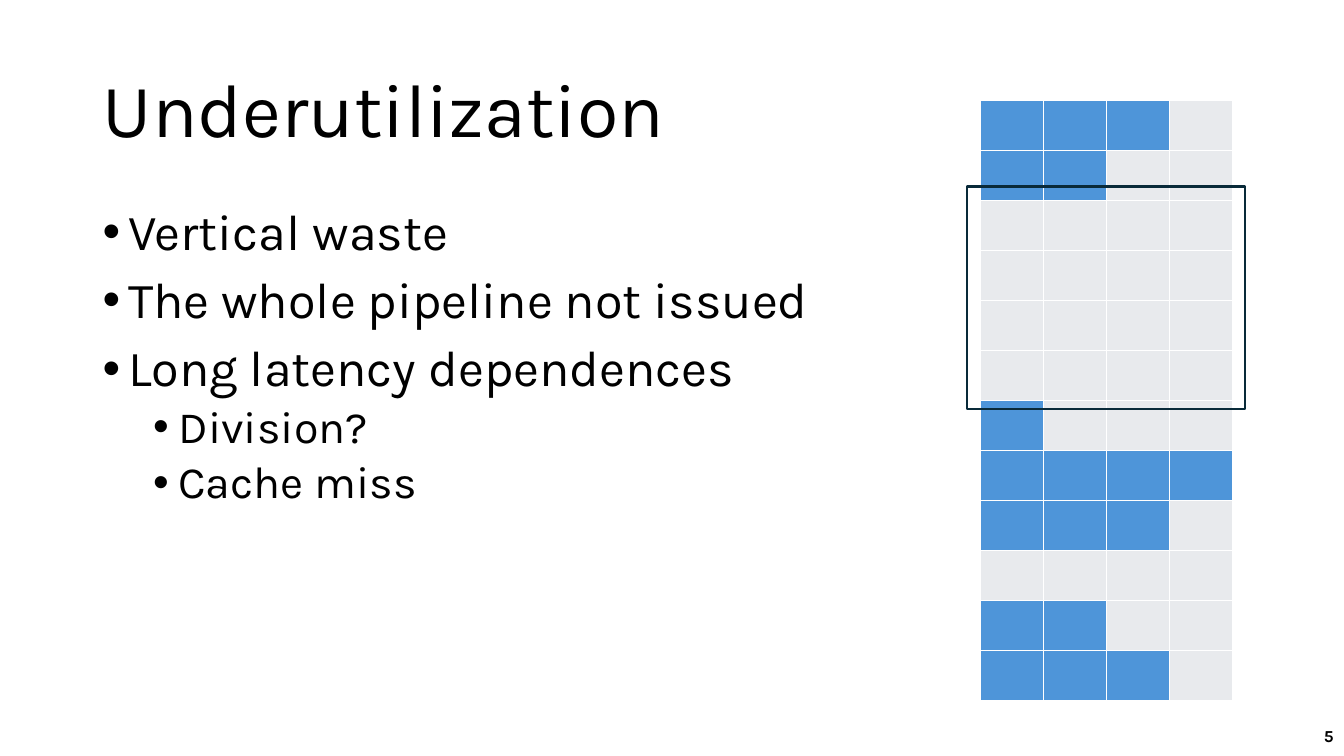
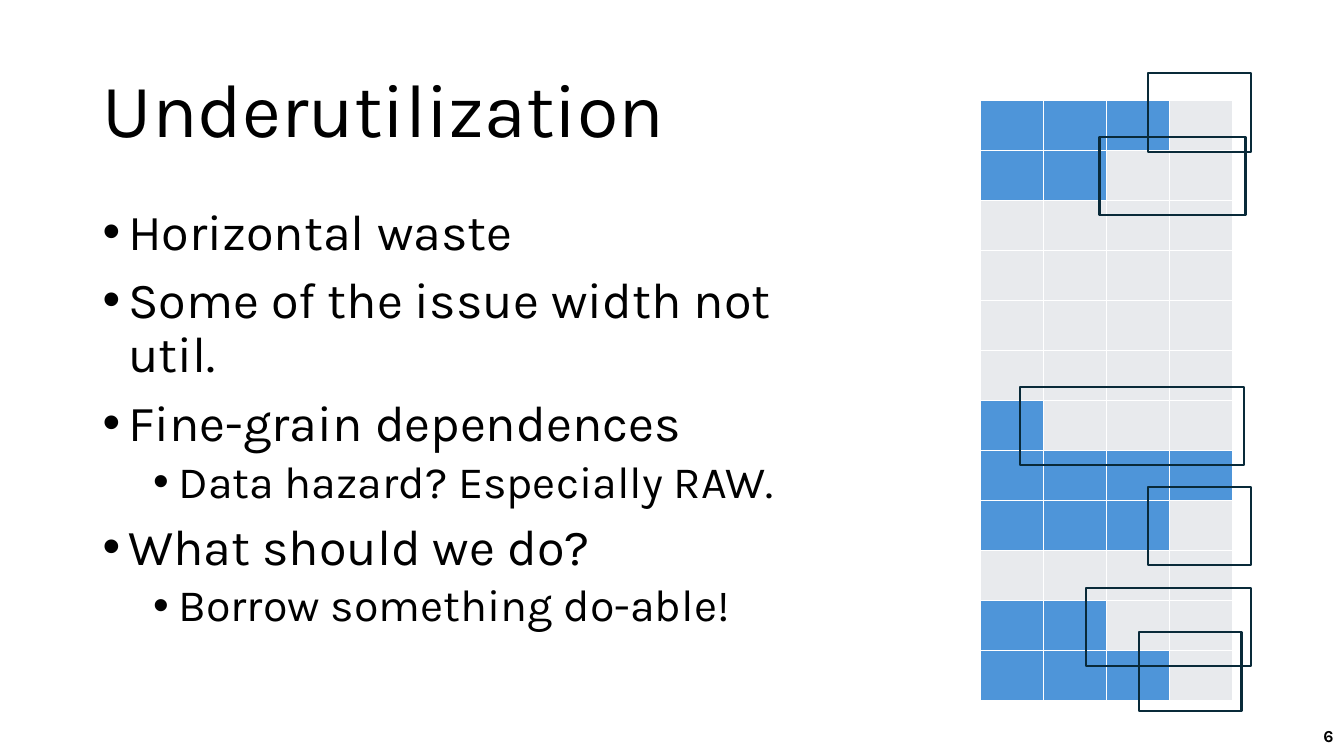
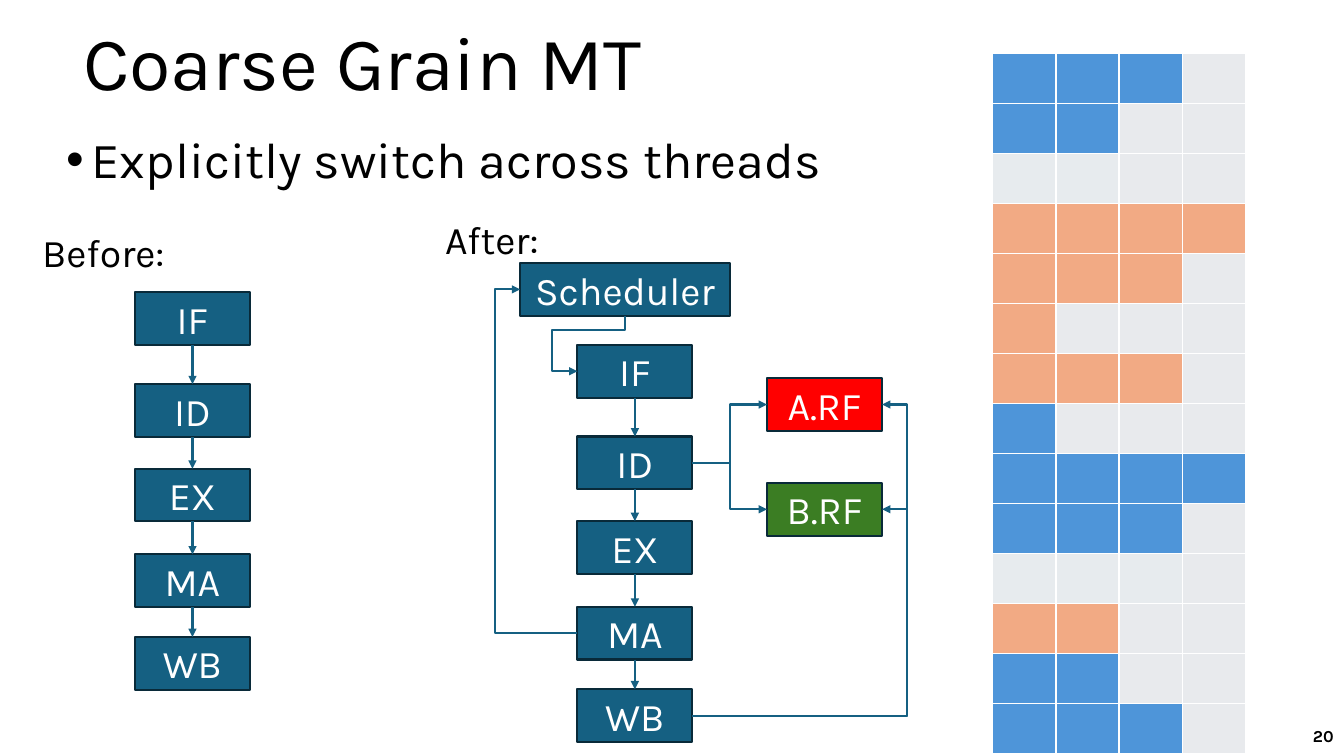
from dataclasses import dataclass
from itertools import pairwise

import pptx
import pptx.dml.color
import pptx.enum.shapes
import pptx.enum.text
import pptx.oxml
import pptx.oxml.ns
import pptx.util
from pptx.util import Cm

ALIGN = pptx.enum.text.PP_ALIGN
ANCHOR = pptx.enum.text.MSO_ANCHOR
CONNECTOR = pptx.enum.shapes.MSO_CONNECTOR
RECTANGLE = pptx.enum.shapes.MSO_SHAPE.RECTANGLE

# Shared style
FONT = "Karla"
COLORS = {
    "text": "000000",
    "white": "FFFFFF",
    "outline": "092A39",
    "stage": "156082",
    "thread_a": "FF0000",
    "thread_b": "3B7D23",
}
SLOT_COLORS = {"A": "4E95D9", "B": "F2AA84", ".": "E8EAED", "-": "E7EBEE"}

SLOT_WIDTH, SLOT_HEIGHT = 1.59, 1.26
STAGE_WIDTH, STAGE_HEIGHT = 2.9, 1.33
STAGES = {"IF": 7.37, "ID": 9.68, "EX": 11.81, "MA": 13.97, "WB": 16.05}

# Connection sites of a rectangle
TOP, LEFT, BOTTOM, RIGHT = range(4)


@dataclass(frozen=True)
class Box:
    """A rectangle in centimetres."""

    left: float
    top: float
    width: float
    height: float

    def lengths(self) -> tuple:
        return Cm(self.left), Cm(self.top), Cm(self.width), Cm(self.height)


@dataclass(frozen=True)
class Bullet:
    text: str
    level: int = 0


@dataclass(frozen=True)
class Link:
    """An arrow from one site to another; a turned one leaves downwards."""

    start: str
    start_site: int
    end: str
    end_site: int
    preset: str = "bentConnector3"
    adjustments: tuple[int, ...] = (50000,)
    turned: bool = False


TITLE_BOX = Box(2.34, 1.02, 29.21, 3.68)
BODY_BOX = Box(2.34, 5.08, 19.58, 12.09)
NUMBER_BOX = Box(26.24, 18.03, 7.62, 1.02)

ISSUE_SLOTS = ["AAA.", "AA..", "....", "....", "....", "....",
               "A...", "AAAA", "AAA.", "....", "AA..", "AAA."]
SWITCHED_SLOTS = ["AAA.", "AA..", "--..", "BBBB", "BBB.", "B...", "BBB.",
                  "A...", "AAAA", "AAA.", "---.", "BB..", "AA..", "AAA."]


def rgb(value: str) -> pptx.dml.color.RGBColor:
    return pptx.dml.color.RGBColor.from_string(value)


def add_xml(parent, xml: str) -> None:
    """Append a drawing element, given without its namespace declaration."""
    tag, rest = xml[:xml.index(" ")], xml[xml.index(" "):]
    parent.append(pptx.oxml.parse_xml(f"{tag} {pptx.oxml.ns.nsdecls('a')}{rest}"))


# Text
def write_text(paragraph, text: str, *, size: float, color: str = "text", bold: bool = False,
               align=ALIGN.LEFT, line_spacing: float = 1.0, space_before: float = 0,
               level: int = 0, bullet: bool = False) -> None:
    run = paragraph.add_run()
    run.text = text
    run.font.name = FONT
    run.font.size = pptx.util.Pt(size)
    run.font.bold = bold
    run.font.color.rgb = rgb(COLORS[color])
    paragraph.alignment = align
    paragraph.line_spacing = line_spacing
    paragraph.space_before = pptx.util.Pt(space_before)
    paragraph.level = level
    if bullet:
        properties = paragraph._p.get_or_add_pPr()
        properties.set("marL", str(Cm(0.64 + 1.27 * level)))
        properties.set("indent", str(-Cm(0.64)))
        add_xml(properties, '<a:buFont typeface="Arial"/>')
        add_xml(properties, '<a:buChar char="•"/>')


def add_text_frame(slide, box: Box, *, anchor=ANCHOR.TOP, wrap: bool = True):
    frame = slide.shapes.add_textbox(*box.lengths()).text_frame
    frame.word_wrap = wrap
    frame.vertical_anchor = anchor
    return frame


def add_bullets(slide, box: Box, bullets: list[Bullet]) -> None:
    frame = add_text_frame(slide, box)
    for index, bullet in enumerate(bullets):
        paragraph = frame.add_paragraph() if index else frame.paragraphs[0]
        write_text(paragraph, bullet.text, size=36 - 4 * bullet.level, line_spacing=0.9,
                   space_before=10 - 5 * bullet.level, level=bullet.level, bullet=True)


def add_base_slide(presentation, title: str, number: int, title_box: Box = TITLE_BOX):
    slide = presentation.slides.add_slide(presentation.slide_layouts[6])
    frame = add_text_frame(slide, title_box, anchor=ANCHOR.MIDDLE)
    write_text(frame.paragraphs[0], title, size=54, line_spacing=0.9)
    frame = add_text_frame(slide, NUMBER_BOX, anchor=ANCHOR.MIDDLE)
    write_text(frame.paragraphs[0], str(number), size=12, bold=True, align=ALIGN.RIGHT)
    return slide


# Issue slot table
def add_slot_table(slide, left: float, top: float, rows: list[str]) -> None:
    box = Box(left, top, SLOT_WIDTH * len(rows[0]), SLOT_HEIGHT * len(rows))
    table = slide.shapes.add_table(len(rows), len(rows[0]), *box.lengths()).table
    table.first_row = False
    table.horz_banding = False
    for column in table.columns:
        column.width = Cm(SLOT_WIDTH)
    for row, slots in zip(table.rows, rows):
        row.height = Cm(SLOT_HEIGHT)
        for cell, slot in zip(row.cells, slots):
            for side in "LRTB":
                add_xml(cell._tc.get_or_add_tcPr(),
                        f'<a:ln{side} w="12700"><a:solidFill><a:srgbClr val="{COLORS["white"]}"/>'
                        f'</a:solidFill></a:ln{side}>')
            cell.fill.solid()
            cell.fill.fore_color.rgb = rgb(SLOT_COLORS[slot])


# Boxes and arrows
def add_rectangle(slide, box: Box, *, fill: str | None = None, label: str = ""):
    shape = slide.shapes.add_shape(RECTANGLE, *box.lengths())
    shape.shadow.inherit = False
    shape.line.color.rgb = rgb(COLORS["outline"])
    shape.line.width = pptx.util.Pt(1.5)
    if fill:
        shape.fill.solid()
        shape.fill.fore_color.rgb = rgb(COLORS[fill])
    else:
        shape.fill.background()
    if label:
        shape.text_frame.vertical_anchor = ANCHOR.MIDDLE
        write_text(shape.text_frame.paragraphs[0], label, size=28, color="white",
                   align=ALIGN.CENTER)
    return shape


def add_arrow(slide, kind, start, start_site: int, end, end_site: int):
    connector = slide.shapes.add_connector(kind, 0, 0, 0, 0)
    connector.begin_connect(start, start_site)
    connector.end_connect(end, end_site)
    connector.line.color.rgb = rgb(COLORS["stage"])
    connector.line.width = pptx.util.Pt(1.5)
    properties = connector._element.spPr
    add_xml(properties.find(pptx.oxml.ns.qn("a:ln")), '<a:tailEnd type="triangle"/>')
    add_xml(properties, "<a:effectLst />")
    return connector


def turn_quarter(connector) -> None:
    """Describe the same end points by a frame rotated 90 degrees."""
    width, height = connector.width, connector.height
    shift = (width - height) // 2
    connector.left, connector.top = connector.left + shift, connector.top - shift
    connector.width, connector.height = height, width
    transform = connector._element.spPr.find(pptx.oxml.ns.qn("a:xfrm"))
    transform.set("rot", "5400000")
    transform.attrib.pop("flipH", None)


def add_link(slide, shapes: dict, link: Link) -> None:
    connector = add_arrow(slide, CONNECTOR.ELBOW, shapes[link.start], link.start_site,
                          shapes[link.end], link.end_site)
    geometry = connector._element.spPr.find(pptx.oxml.ns.qn("a:prstGeom"))
    geometry.set("prst", link.preset)
    for index, value in enumerate(link.adjustments, start=1):
        add_xml(geometry.get_or_add_avLst(), f'<a:gd name="adj{index}" fmla="val {value}"/>')
    if link.turned:
        turn_quarter(connector)


def add_pipeline(slide, left: float, offset: float = 0) -> dict:
    shapes = {
        name: add_rectangle(slide, Box(left, top + offset, STAGE_WIDTH, STAGE_HEIGHT),
                            fill="stage", label=name)
        for name, top in STAGES.items()
    }
    for upper, lower in pairwise(shapes.values()):
        add_arrow(slide, CONNECTOR.STRAIGHT, upper, BOTTOM, lower, TOP)
    return shapes


# Slides
def build_underutilization(presentation, number: int, bullets: list[Bullet],
                           highlights: list[Box]) -> None:
    slide = add_base_slide(presentation, "Underutilization", number)
    add_slot_table(slide, 24.71, 2.54, ISSUE_SLOTS)
    add_bullets(slide, BODY_BOX, bullets)
    for highlight in highlights:
        add_rectangle(slide, highlight)


def build_coarse_grain(presentation) -> None:
    slide = add_base_slide(presentation, "Coarse Grain MT", 20, Box(1.85, -0.18, 29.21, 3.68))
    add_slot_table(slide, 25.02, 1.35, SWITCHED_SLOTS)
    add_bullets(slide, Box(1.42, 3.28, 20.8, 2.82), [Bullet("Explicitly switch across threads")])

    for text, box in (("Before:", Box(0.81, 5.64, 3.61, 1.45)),
                      ("After:", Box(10.97, 5.31, 2.87, 1.45))):
        frame = add_text_frame(slide, box, wrap=False)
        write_text(frame.paragraphs[0], text, size=28)

    add_pipeline(slide, 3.4)
    shapes = add_pipeline(slide, 14.55, offset=1.32)
    for name, fill, box in (
        ("Scheduler", "stage", Box(13.11, 6.63, 5.28, STAGE_HEIGHT)),
        ("B.RF", "thread_b", Box(19.33, 12.17, STAGE_WIDTH, STAGE_HEIGHT)),
        ("A.RF", "thread_a", Box(19.33, 9.53, STAGE_WIDTH, STAGE_HEIGHT)),
    ):
        shapes[name] = add_rectangle(slide, box, fill=fill, label=name)

    links = [
        Link("Scheduler", BOTTOM, "IF", LEFT, "bentConnector4", (26200, 153000), turned=True),
        Link("MA", LEFT, "Scheduler", LEFT, adjustments=(144100,)),
    ]
    for register_file in ("A.RF", "B.RF"):
        links.append(Link("ID", RIGHT, register_file, LEFT))
        links.append(Link("WB", RIGHT, register_file, RIGHT, adjustments=(113300,)))
    for link in links:
        add_link(slide, shapes, link)


def main() -> None:
    presentation = pptx.Presentation()
    presentation.slide_width = Cm(33.87)
    presentation.slide_height = Cm(19.05)

    build_underutilization(
        presentation, 5,
        [Bullet("Vertical waste"),
         Bullet("The whole pipeline not issued"),
         Bullet("Long latency dependences"),
         Bullet("Division?", 1),
         Bullet("Cache miss", 1)],
        [Box(24.36, 4.7, 7.01, 5.61)],
    )
    horizontal_waste = [(27.71, 3.45, 3.68), (25.7, 9.75, 5.66), (28.93, 1.85, 2.59),
                        (28.93, 12.27, 2.59), (27.38, 14.81, 4.14), (28.7, 15.93, 2.59)]
    build_underutilization(
        presentation, 6,
        [Bullet("Horizontal waste"),
         Bullet("Some of the issue width not util."),
         Bullet("Fine-grain dependences"),
         Bullet("Data hazard? Especially RAW.", 1),
         Bullet("What should we do?"),
         Bullet("Borrow something do-able!", 1)],
        [Box(left, top, width, 1.98) for left, top, width in horizontal_waste],
    )
    build_coarse_grain(presentation)
    presentation.save("out.pptx")


if __name__ == "__main__":
    main()
